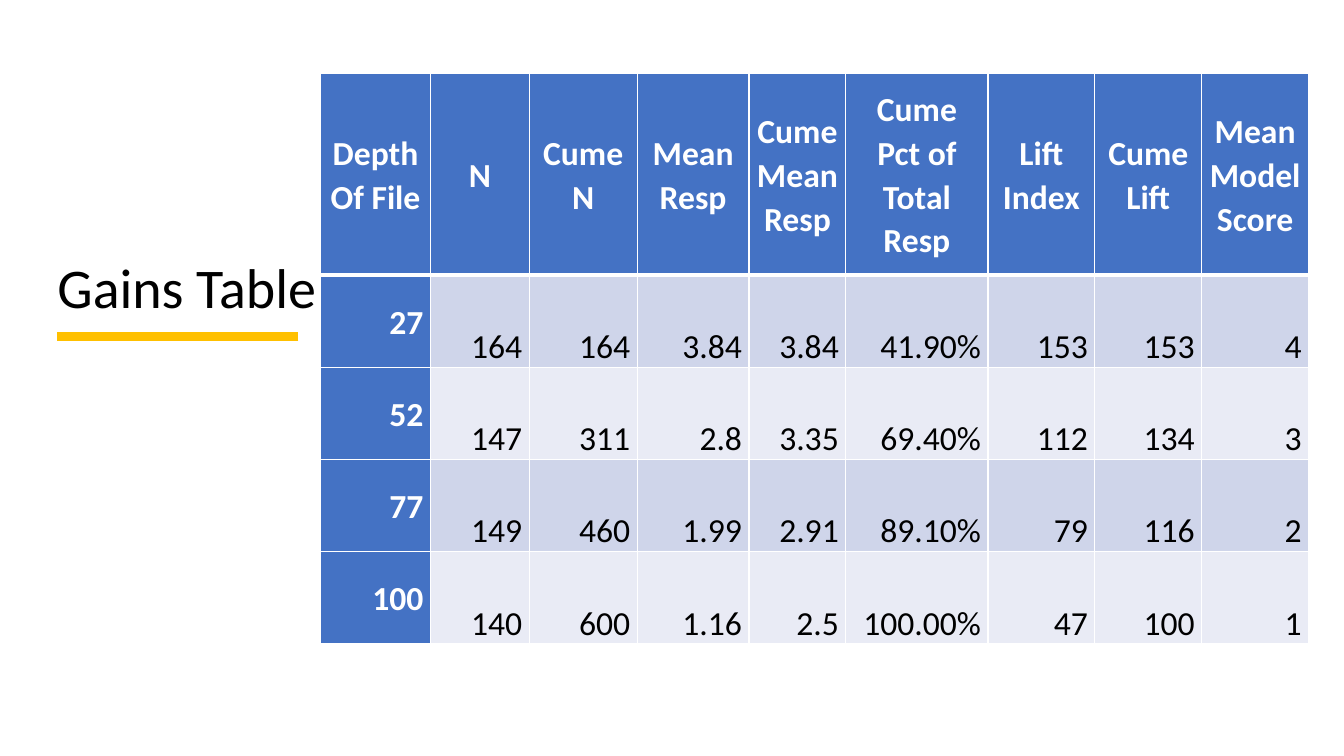
from lxml import etree
from pptx import Presentation
from pptx.dml.color import RGBColor
from pptx.enum.shapes import MSO_CONNECTOR
from pptx.enum.text import MSO_ANCHOR, MSO_AUTO_SIZE, PP_ALIGN
from pptx.oxml.ns import qn
from pptx.util import Inches, Pt

STRAIGHT = MSO_CONNECTOR.STRAIGHT
MIDDLE, BOTTOM = MSO_ANCHOR.MIDDLE, MSO_ANCHOR.BOTTOM
LEFT, CENTER, RIGHT = PP_ALIGN.LEFT, PP_ALIGN.CENTER, PP_ALIGN.RIGHT
NO_FIT = MSO_AUTO_SIZE.NONE

FONT = "Calibri"
COLORS = {"text": "000000", "white": "FFFFFF", "rule": "FFC000",
          "head": "4472C4", "odd": "CFD5EA", "even": "E9EBF5"}

# A line break in a heading starts a new paragraph
GAINS = [
    ["Depth\nOf File", "N", "Cume\nN", "Mean\nResp", "Cume\nMean\nResp",
     "Cume Pct of Total Resp", "Lift Index", "Cume Lift", "Mean Model Score"],
    ["27", "164", "164", "3.84", "3.84", "41.90%", "153", "153", "4"],
    ["52", "147", "311", "2.8", "3.35", "69.40%", "112", "134", "3"],
    ["77", "149", "460", "1.99", "2.91", "89.10%", "79", "116", "2"],
    ["100", "140", "600", "1.16", "2.5", "100.00%", "47", "100", "1"],
]
COL_WIDTHS = [1.09, 0.98, 1.07, 1.11, 0.96, 1.41, 1.06, 1.06, 1.06]
HEAD_HEIGHT = 2


def rgb(name):
    return RGBColor.from_string(COLORS[name])


def set_attrs(obj, formats):
    for name, value in formats.items():
        setattr(obj, name, value)


def format_paragraph(p, size, color, bold, align, spacing):
    set_attrs(p, {"alignment": align, "line_spacing": spacing})
    set_attrs(p.font, {"name": FONT, "size": Pt(size), "bold": bold})
    p.font.color.rgb = rgb(color)


def add_title(s, text, x, y, w, h):
    # Yellow rule just below the title
    rule_y = Inches(y + h + 0.11)
    rule = s.shapes.add_connector(STRAIGHT, Inches(x + 2.39), rule_y,
                                  Inches(x), rule_y)
    rule.line.color.rgb = rgb("rule")
    rule.line.width = Pt(6)
    etree.SubElement(rule._element.spPr, qn("a:effectLst"))

    # Title placeholder
    sp = s.shapes.title
    set_attrs(sp, {"left": Inches(x), "top": Inches(y),
                   "width": Inches(w), "height": Inches(h)})
    tf = sp.text_frame
    tf.text = text
    set_attrs(tf, {"word_wrap": True, "auto_size": NO_FIT,
                   "vertical_anchor": BOTTOM, "margin_left": 0,
                   "margin_right": Inches(0.1),
                   "margin_top": Inches(0.05), "margin_bottom": Inches(0.05)})
    format_paragraph(tf.paragraphs[0], 40, "text", False, LEFT, 0.9)


def add_borders(cell, widths):
    tcPr = cell._tc.get_or_add_tcPr()
    for side, width in widths.items():
        ln = etree.SubElement(tcPr, qn(f"a:ln{side}"), w=str(Pt(width)))
        fill = etree.SubElement(ln, qn("a:solidFill"))
        etree.SubElement(fill, qn("a:srgbClr"), val=COLORS["white"])


def fill_cell(cell, text, row, col):
    is_head = row == 0
    is_label = is_head or col == 0
    add_borders(cell, {"L": 1, "R": 1, "T": 3 if row == 1 else 1,
                       "B": 3 if is_head else 1})
    cell.fill.solid()
    cell.fill.fore_color.rgb = rgb(
        "head" if is_label else "odd" if row % 2 else "even")
    cell.text = text
    set_attrs(cell, {"vertical_anchor": MIDDLE if is_label else BOTTOM,
                     "margin_left": Inches(0.07), "margin_right": Inches(0.07),
                     "margin_top": 0, "margin_bottom": 0})
    for p in cell.text_frame.paragraphs:
        format_paragraph(p, 24, "white" if is_label else "text", is_label,
                         CENTER if is_head else RIGHT, 1.07)


def add_gains_table(s, x, y, w, h):
    table = s.shapes.add_table(len(GAINS), len(COL_WIDTHS), Inches(x),
                               Inches(y), Inches(w), Inches(h)).table
    for column, width in zip(table.columns, COL_WIDTHS):
        column.width = Inches(width)
    body_height = (h - HEAD_HEIGHT) / (len(GAINS) - 1)
    for row, values in enumerate(GAINS):
        table.rows[row].height = Inches(body_height if row else HEAD_HEIGHT)
        for col, text in enumerate(values):
            fill_cell(table.cell(row, col), text, row, col)


def main():
    prs = Presentation()
    set_attrs(prs, {"slide_width": Inches(13.33), "slide_height": Inches(7.5)})
    s = prs.slides.add_slide(prs.slide_layouts[5])
    add_title(s, "Gains Table", 0.57, 0.49, 2.82, 2.74)
    add_gains_table(s, 3.18, 0.73, sum(COL_WIDTHS), 5.66)
    prs.save("out.pptx")


if __name__ == "__main__":
    main()
